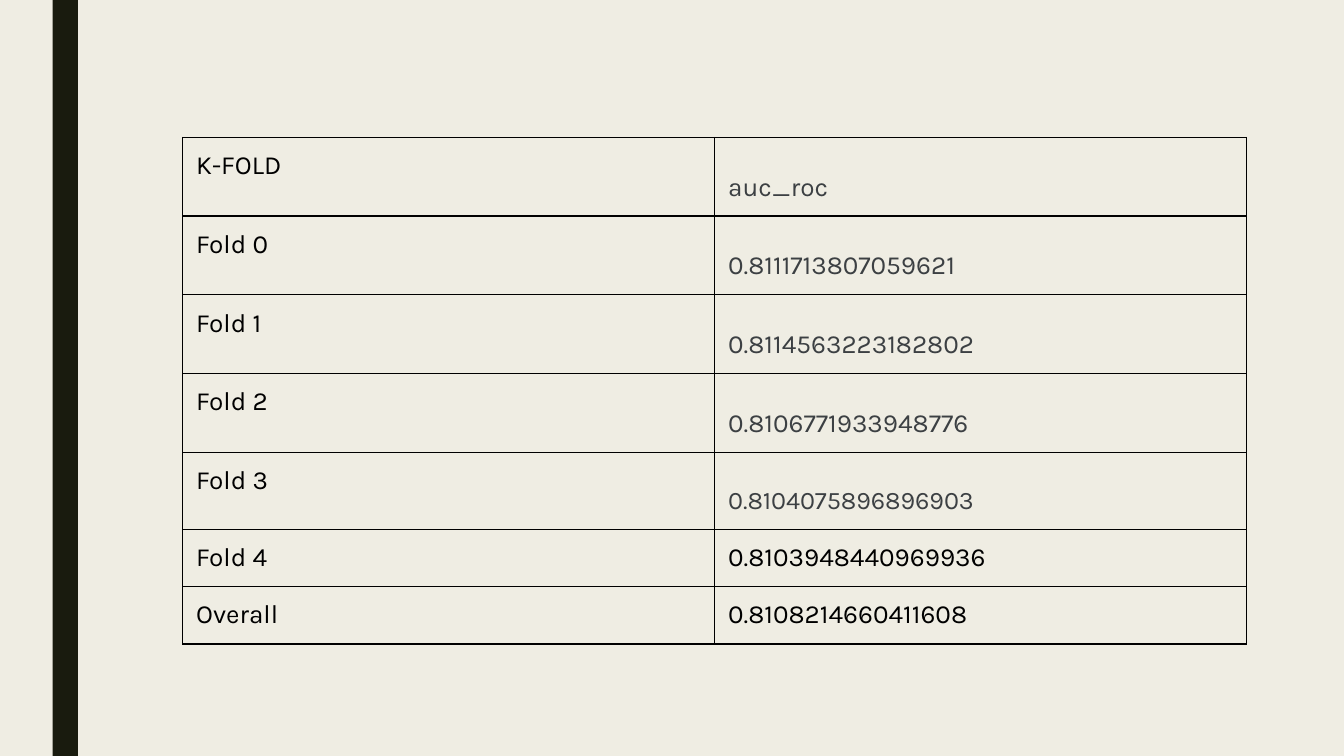
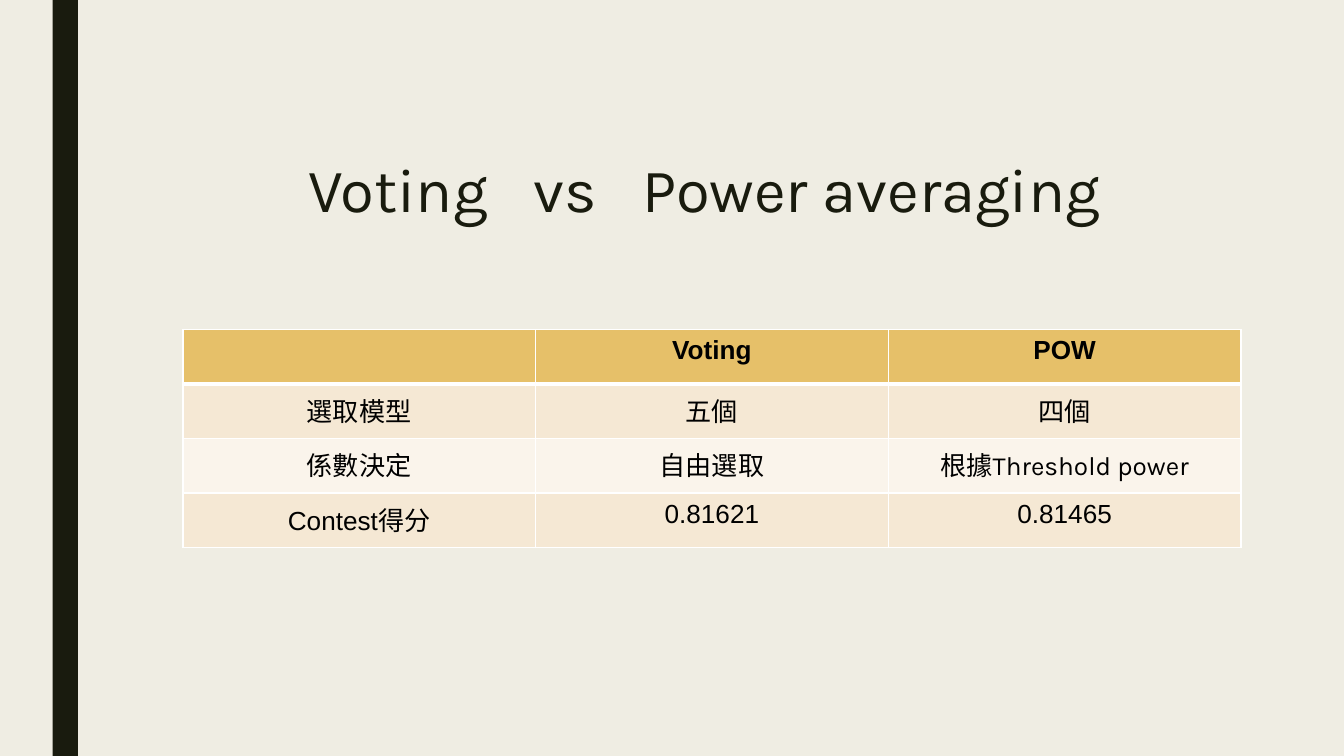
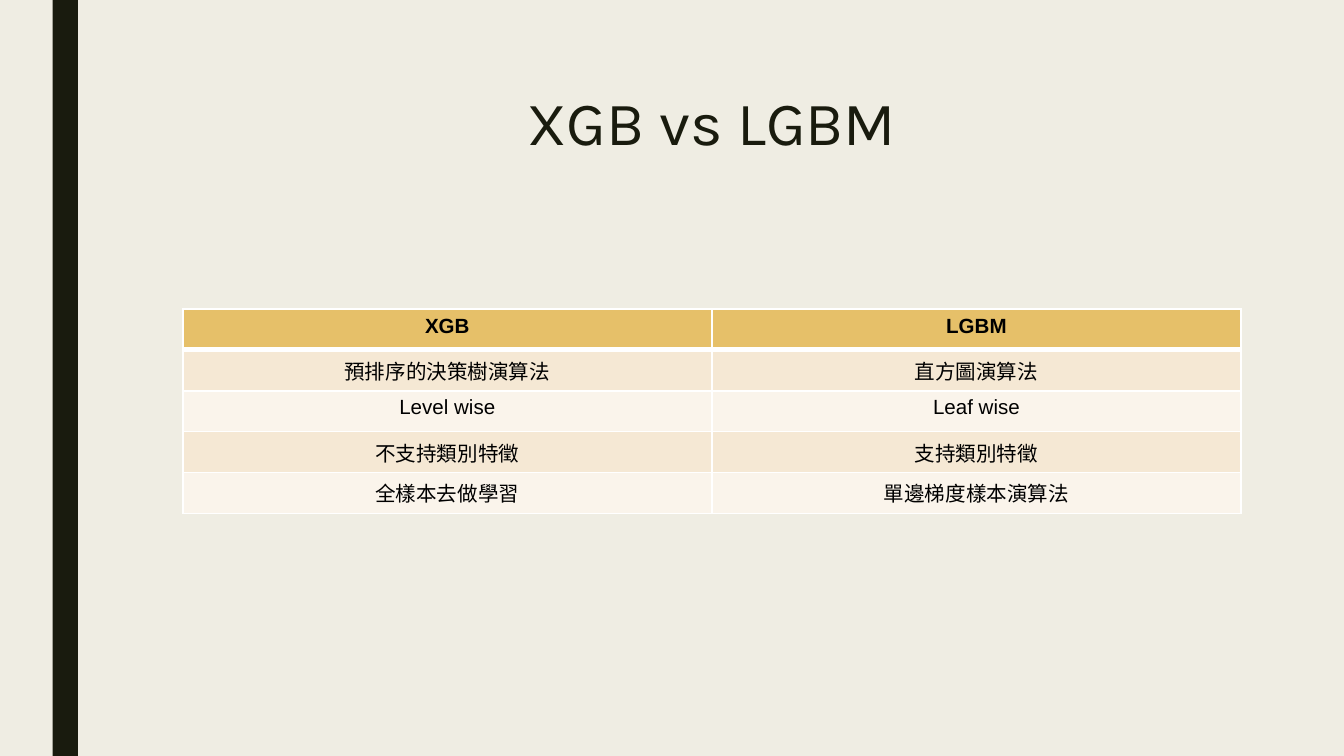
from lxml import etree
from pptx import Presentation
from pptx.dml.color import RGBColor
from pptx.enum import shapes, text
from pptx.oxml.ns import qn
from pptx.util import Pt

PAPER = RGBColor(0xEF, 0xED, 0xE3)
INK = RGBColor(0x19, 0x1B, 0x0E)
BLACK = RGBColor(0, 0, 0)
WHITE = RGBColor(0xFF, 0xFF, 0xFF)
SLATE = RGBColor(0x3C, 0x40, 0x43)
GOLD = RGBColor(0xE6, 0xC0, 0x69)
SAND = RGBColor(0xF5, 0xE8, 0xD4)
CREAM = RGBColor(0xFA, 0xF4, 0xEB)

WIDTH, HEIGHT = 720, 405
LEFT = 97.92
KARLA, ARIAL = "Karla", "Arial"
CENTER = text.PP_ALIGN.CENTER

FOLDS = ["0.8111713807059621", "0.8114563223182802",
         "0.8106771933948776", "0.8104075896896903"]


def write(paragraph, words, size=14, font=KARLA, color=BLACK, bold=False,
          align=None, leading=None, tracking=None):
    """Add a formatted run to a paragraph."""
    if align is not None:
        paragraph.alignment = align
    if leading:
        paragraph.line_spacing = leading
    run = paragraph.add_run()
    run.text = words
    run.font.size = Pt(size)
    run.font.name = font
    run.font.color.rgb = color
    run.font.bold = bold
    if tracking:
        run.font._element.set("spc", str(round(tracking * 100)))


def set_margins(box, across, down):
    """Set the inner margins of a cell or text frame."""
    box.margin_left = box.margin_right = Pt(across)
    box.margin_top = box.margin_bottom = Pt(down)


def draw_borders(cell, color, top, bottom, side):
    """Draw the four borders of a cell."""
    properties = cell._tc.get_or_add_tcPr()
    widths = {"a:lnL": side, "a:lnR": side, "a:lnT": top, "a:lnB": bottom}
    for tag, width in widths.items():
        line = etree.SubElement(properties, qn(tag), w=str(Pt(width)))
        fill = etree.SubElement(line, qn("a:solidFill"))
        etree.SubElement(fill, qn("a:srgbClr"), val=str(color))


class Deck:
    """Hold the shared style and the current slide."""

    def __init__(self):
        self.deck = Presentation()
        self.deck.slide_width = Pt(WIDTH)
        self.deck.slide_height = Pt(HEIGHT)

    def new_slide(self):
        """Start a slide with the paper background and dark band."""
        self.slide = self.deck.slides.add_slide(self.deck.slide_layouts[6])
        self.slide.background.fill.solid()
        self.slide.background.fill.fore_color.rgb = PAPER
        band = self.slide.shapes.add_shape(
            shapes.MSO_SHAPE.RECTANGLE, Pt(28.2), 0, Pt(13.6), Pt(HEIGHT))
        band.shadow.inherit = False
        band.fill.solid()
        band.fill.fore_color.rgb = INK
        band.line.fill.background()

    def title(self, runs, left, top, width, height):
        """Add a centred title made of (words, tracking) runs."""
        frame = self.slide.shapes.add_textbox(
            Pt(left), Pt(top), Pt(width), Pt(height)).text_frame
        frame.word_wrap = True
        set_margins(frame, 5, 2.9)
        for words, tracking in runs:
            write(frame.paragraphs[0], words, size=33, color=INK,
                  align=CENTER, leading=0.89, tracking=tracking)

    def table(self, rows, top, column, heights, margins, banded=True,
              frame_height=None, **style):
        """Add a table whose cells are lists of (words, format) runs."""
        frame = self.slide.shapes.add_table(
            len(rows), len(rows[0]), Pt(LEFT), Pt(top),
            Pt(column * len(rows[0])), Pt(sum(heights)))
        grid = frame.table
        grid.first_row = grid.horz_banding = banded
        for index, (row, height) in enumerate(zip(rows, heights)):
            grid.rows[index].height = Pt(height)
            for cell, runs in zip(grid.rows[index].cells, row):
                set_margins(cell, *margins)
                if banded:
                    draw_borders(cell, WHITE, 3 if index == 1 else 1,
                                 1 if index else 3, 1)
                    cell.fill.solid()
                    cell.fill.fore_color.rgb = (
                        (CREAM, SAND)[index % 2] if index else GOLD)
                else:
                    draw_borders(cell, BLACK, 0.75, 0.75, 0.75)
                    cell.fill.background()
                for words, extra in runs:
                    bold = banded and index == 0
                    write(cell.text_frame.paragraphs[0], words,
                          **{"bold": bold, **style, **extra})
        if frame_height:
            frame.height = Pt(frame_height)


def plain(*row):
    """Turn words into cells of one unformatted run each."""
    return [[(words, {})] if words else [] for words in row]


def fold_scores(deck):
    """Build the table of scores for each fold."""
    deck.new_slide()
    spaced = {"color": SLATE, "leading": 1.7}
    rows = [[[("K-FOLD", {})], [("auc_roc", spaced)]]]
    for number, score in enumerate(FOLDS):
        size = 13.5 if number == 3 else 14
        rows.append([[(f"Fold {number}", {})],
                     [(score, {**spaced, "size": size})]])
    rows += [plain("Fold 4", "0.8103948440969936"),
             plain("Overall", "0.8108214660411608")]
    deck.table(rows, 73.6, 285, [28.4] + [30.4] * 6, (7.2, 7.2),
               banded=False, frame_height=257.8)


def voting_and_power(deck):
    """Build the comparison of voting with power averaging."""
    deck.new_slide()
    rows = [plain("", "Voting", "POW"),
            plain("選取模型", "五個", "四個"),
            plain("係數決定", "自由選取")
            + [[("根據", {}), ("Threshold power", {"font": KARLA})]],
            plain("Contest得分", "0.81621", "0.81465")]
    deck.table(rows, 176.5, 189, [29.2] * 4, (7.2, 3.6),
               font=ARIAL, align=CENTER)
    wide_gap = (" ", 16.5)
    deck.title([("Voting", None), wide_gap, ("vs", None), wide_gap,
                ("Power averaging ", None)], 149.8, 82.8, 463, 46.8)


def boosting_models(deck):
    """Build the comparison of the two boosting models."""
    deck.new_slide()
    deck.title([("XGB vs LGBM", None)], LEFT, 46.8, 567, 87.8)
    rows = [plain("XGB", "LGBM"),
            plain("預排序的決策樹演算法", "直方圖演算法"),
            plain("Level wise", "Leaf wise"),
            plain("不支持類別特徵", "支持類別特徵"),
            plain("全樣本去做學習", "單邊梯度樣本演算法")]
    deck.table(rows, 165.6, 283.5, [21.9] * 5, (5, 2.9),
               size=11, font=ARIAL, align=CENTER)


def main():
    """Build and save the slides."""
    deck = Deck()
    for build in (fold_scores, voting_and_power, boosting_models):
        build(deck)
    deck.deck.save("out.pptx")


if __name__ == "__main__":
    main()
